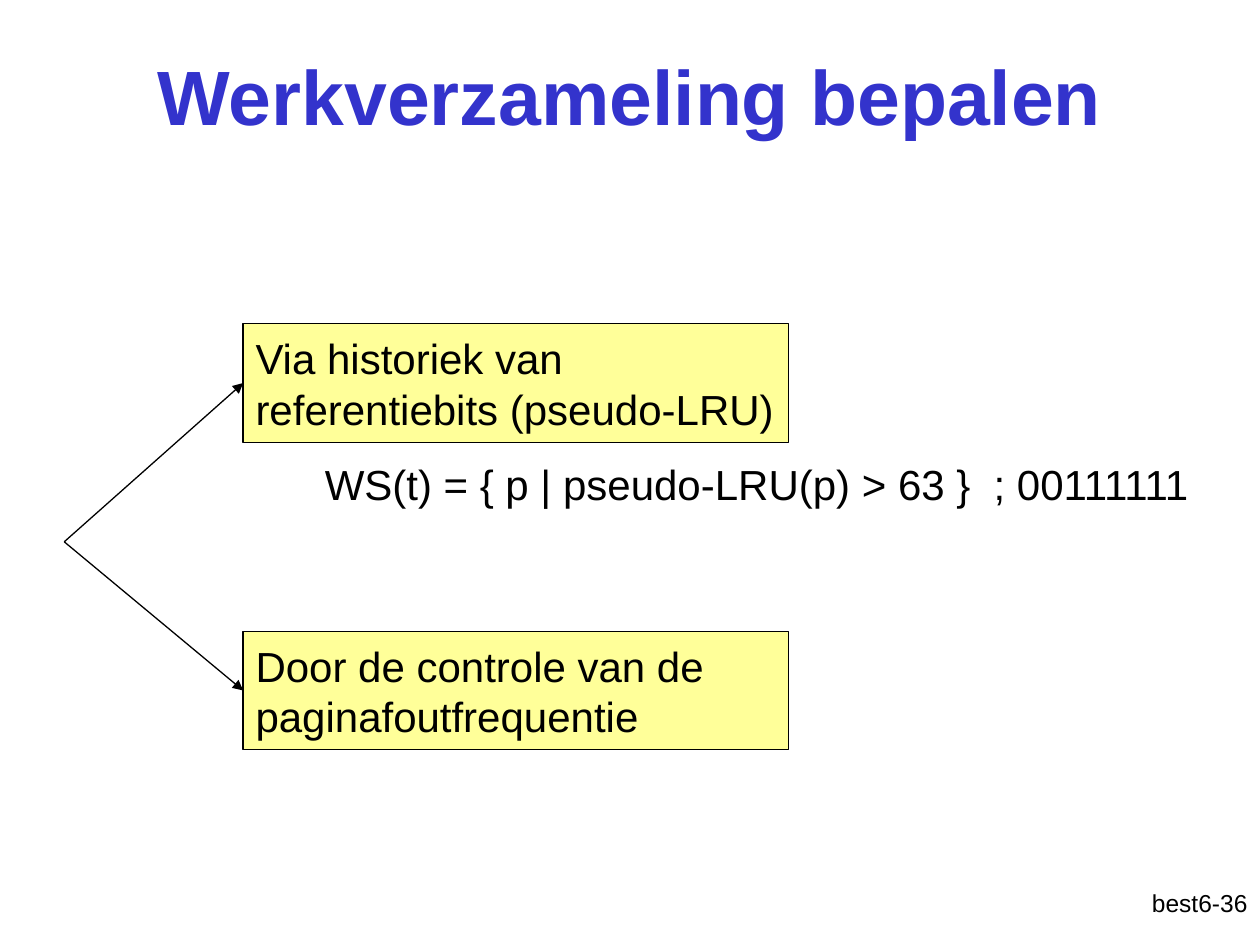
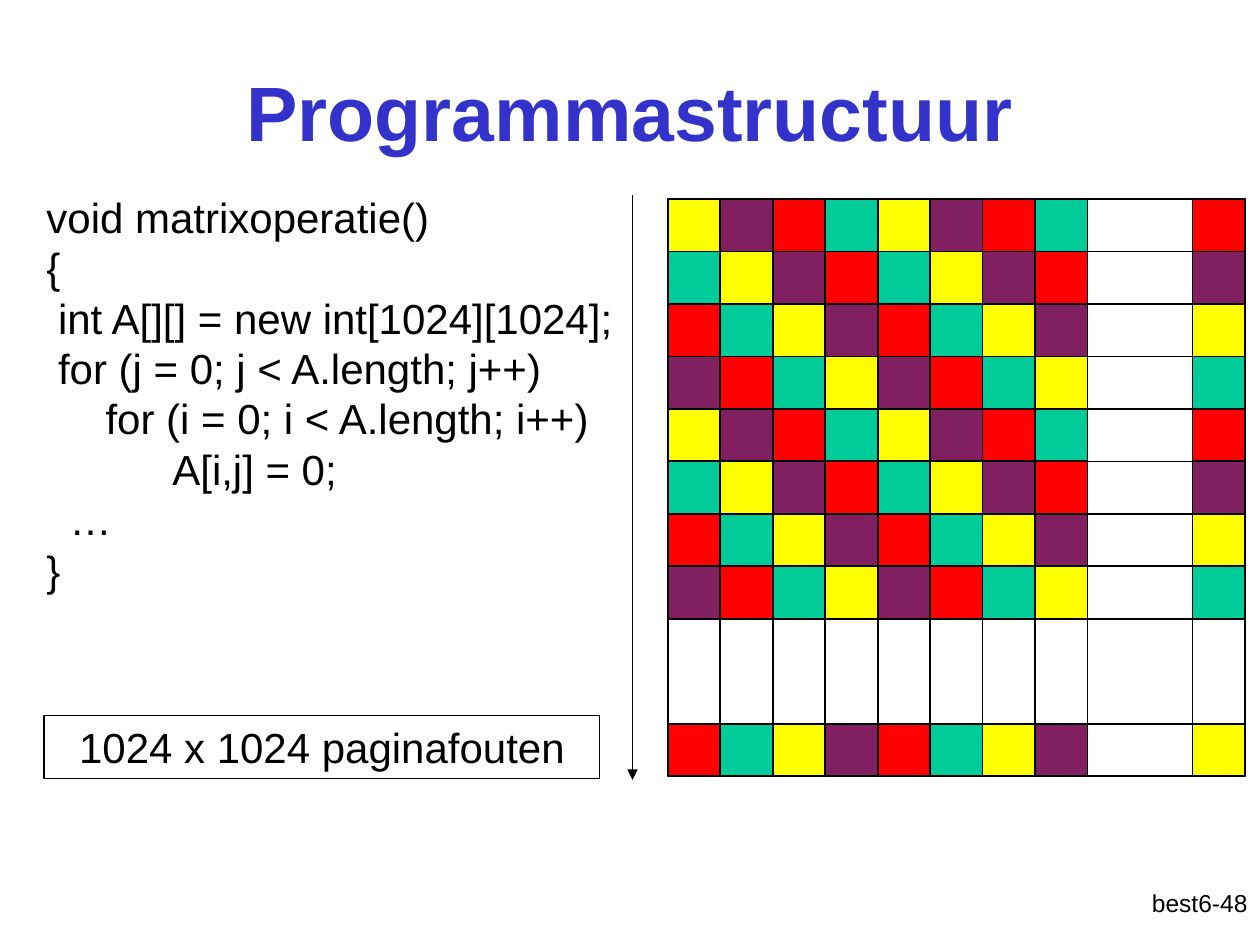
from itertools import product

from lxml import etree
from pptx import Presentation
from pptx.dml.color import RGBColor
from pptx.enum import shapes, text
from pptx.oxml import ns
from pptx.util import Inches, Pt

COLOURS = {"title": "3333CC", "ink": "000000", "box": "FFFF99", "yellow": "FFFF00",
           "purple": "802060", "red": "FF0000", "green": "00CC99"}
FONT = "Arial"
ALIGN = text.PP_ALIGN
CODE_TABS = (0.1, 1, 2)

# Slide 1: two ways to determine the working set
METHODS = ["Via historiek van referentiebits (pseudo-LRU)",
           "Door de controle van de paginafoutfrequentie"]
METHOD_LEFT, METHOD_TOP, METHOD_STEP = 1.93, 2.57, 2.44
METHOD_WIDTH, METHOD_HEIGHT = 4.33, 0.94
FORK = (0.51, 4.3)
FORMULA = "WS(t) = { p | pseudo-LRU(p) > 63 }  ; 00111111"

# Slide 2: matrix traversal; "\n" inside an entry is a line break
CODE = ["void matrixoperatie()",
        "{",
        " int A[][] = new int[1024][1024];",
        " for (j = 0; j < A.length; j++)\n"
        "\t    for (i = 0; i < A.length; i++)\n"
        "\t\tA[i,j] = 0;\n"
        "  …",
        "}"]
FAULTS = "1024 x 1024 paginafouten"
PAGE_CYCLE = ["yellow", "purple", "red", "green"]
MATRIX_LEFT, MATRIX_TOP, MATRIX_SIZE = 5.3, 1.58, 4.58
MATRIX_UNITS = 11
SHOWN = [*range(8), 10]      # units 8 and 9 are the elided part
GRID_LINES = [*range(1, 9), 10]


def colour(name):
    return RGBColor.from_string(COLOURS[name])


def write(frame, paragraphs, size=24, ink="ink", bold=False, align=ALIGN.LEFT,
          anchor=text.MSO_ANCHOR.TOP, tabs=()):
    for name, value in {"word_wrap": True, "auto_size": text.MSO_AUTO_SIZE.NONE,
                        "vertical_anchor": anchor,
                        "margin_left": Inches(0.1), "margin_right": Inches(0.1),
                        "margin_top": Inches(0.05), "margin_bottom": Inches(0.05)}.items():
        setattr(frame, name, value)
    for index, content in enumerate(paragraphs):
        para = frame.add_paragraph() if index else frame.paragraphs[0]
        para.text = content
        para.alignment = align
        if tabs:
            tab_list = etree.SubElement(para._p.get_or_add_pPr(), ns.qn("a:tabLst"))
            for position in tabs:
                etree.SubElement(tab_list, ns.qn("a:tab"), pos=str(Inches(position)), algn="l")
        for span in para.runs:
            for name, value in {"name": FONT, "size": Pt(size), "bold": bold}.items():
                setattr(span.font, name, value)
            span.font.color.rgb = colour(ink)


def add_text(page, area, paragraphs, **formats):
    box = page.shapes.add_textbox(*map(Inches, area))
    write(box.text_frame, paragraphs, **formats)


def add_box(page, area, fill=None, width=1.0):
    box = page.shapes.add_shape(shapes.MSO_SHAPE.RECTANGLE, *map(Inches, area))
    box.shadow.inherit = False
    if fill:
        box.fill.solid()
        box.fill.fore_color.rgb = colour(fill)
    else:
        box.fill.background()
    box.line.color.rgb = colour("ink")
    box.line.width = Pt(width)
    return box


def add_line(page, start, end, width=1.0, arrow=False):
    line = page.shapes.add_connector(shapes.MSO_CONNECTOR.STRAIGHT,
                                     *map(Inches, (*start, *end)))
    line.line.color.rgb = colour("ink")
    line.line.width = Pt(width)
    if arrow:
        etree.SubElement(line.line._get_or_add_ln(), ns.qn("a:tailEnd"), type="triangle")
    etree.SubElement(line._element.spPr, ns.qn("a:effectLst"))


def add_page(deck, title, title_area, number):
    page = deck.slides.add_slide(deck.slide_layouts[5])
    heading = page.shapes.title
    for name, value in zip(("left", "top", "width", "height"), title_area):
        setattr(heading, name, Inches(value))
    write(heading.text_frame, [title], size=44, ink="title", bold=True,
          align=ALIGN.CENTER, anchor=text.MSO_ANCHOR.MIDDLE)
    add_text(page, (7.92, 7, 2.08, 0.5), [f"best6-{number}"], size=14, align=ALIGN.RIGHT)
    return page


def add_methods(page):
    for index, method in enumerate(METHODS):
        top = METHOD_TOP + index * METHOD_STEP
        box = add_box(page, (METHOD_LEFT, top, METHOD_WIDTH, METHOD_HEIGHT), "box", 0.75)
        write(box.text_frame, [method], anchor=text.MSO_ANCHOR.MIDDLE)
        add_line(page, FORK, (METHOD_LEFT, top + METHOD_HEIGHT / 2), 0.75, arrow=True)
    add_text(page, (2.48, 3.59, 7.4, 0.5), [FORMULA])


def add_matrix(page):
    """Colour each shown cell by its page, shifting the cycle one step per row."""
    unit = MATRIX_SIZE / MATRIX_UNITS
    right, bottom = MATRIX_LEFT + MATRIX_SIZE, MATRIX_TOP + MATRIX_SIZE
    for row, column in product(SHOWN, SHOWN):
        fill = PAGE_CYCLE[(column - row) % len(PAGE_CYCLE)]
        add_box(page, (MATRIX_LEFT + column * unit, MATRIX_TOP + row * unit, unit, unit), fill)
    add_box(page, (MATRIX_LEFT, MATRIX_TOP, MATRIX_SIZE, MATRIX_SIZE))
    for index in GRID_LINES:
        x, y = MATRIX_LEFT + index * unit, MATRIX_TOP + index * unit
        add_line(page, (MATRIX_LEFT, y), (right, y))
        add_line(page, (x, MATRIX_TOP), (x, bottom))


def main():
    deck = Presentation()
    deck.slide_width, deck.slide_height = Inches(10), Inches(7.5)

    add_methods(add_page(deck, "Werkverzameling bepalen", (0, 0.13, 10, 1.25), 36))

    page = add_page(deck, "Programmastructuur", (0.75, 0.25, 8.5, 1.25), 48)
    add_matrix(page)
    add_line(page, (5.02, 1.55), (5.02, 6.19), arrow=True)
    add_text(page, (0.27, 1.47, 5, 3.7), CODE, tabs=CODE_TABS)
    faults = add_box(page, (0.35, 5.68, 4.41, 0.5), width=0.75)
    write(faults.text_frame, [FAULTS], align=ALIGN.CENTER)

    deck.save("out.pptx")


if __name__ == "__main__":
    main()
